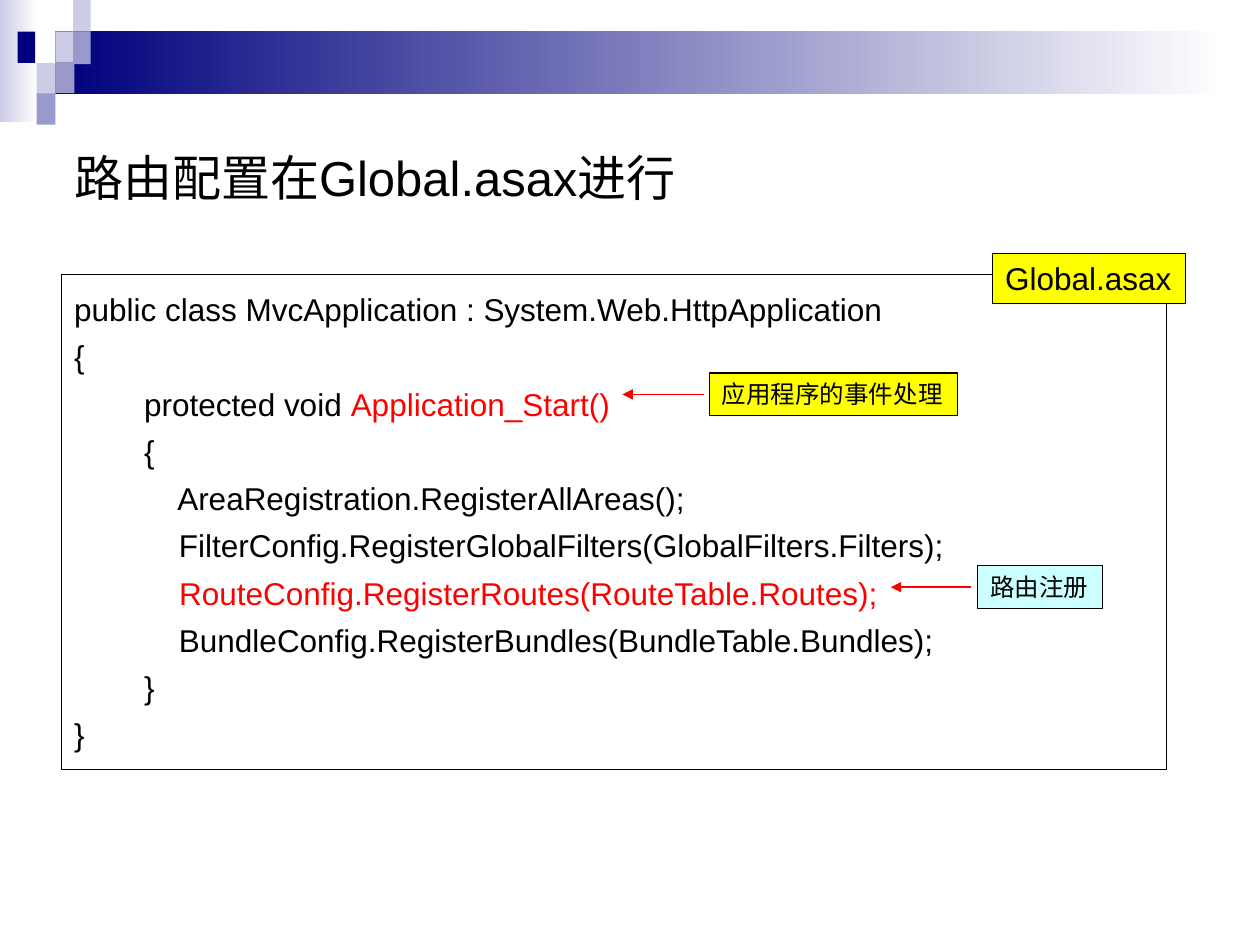
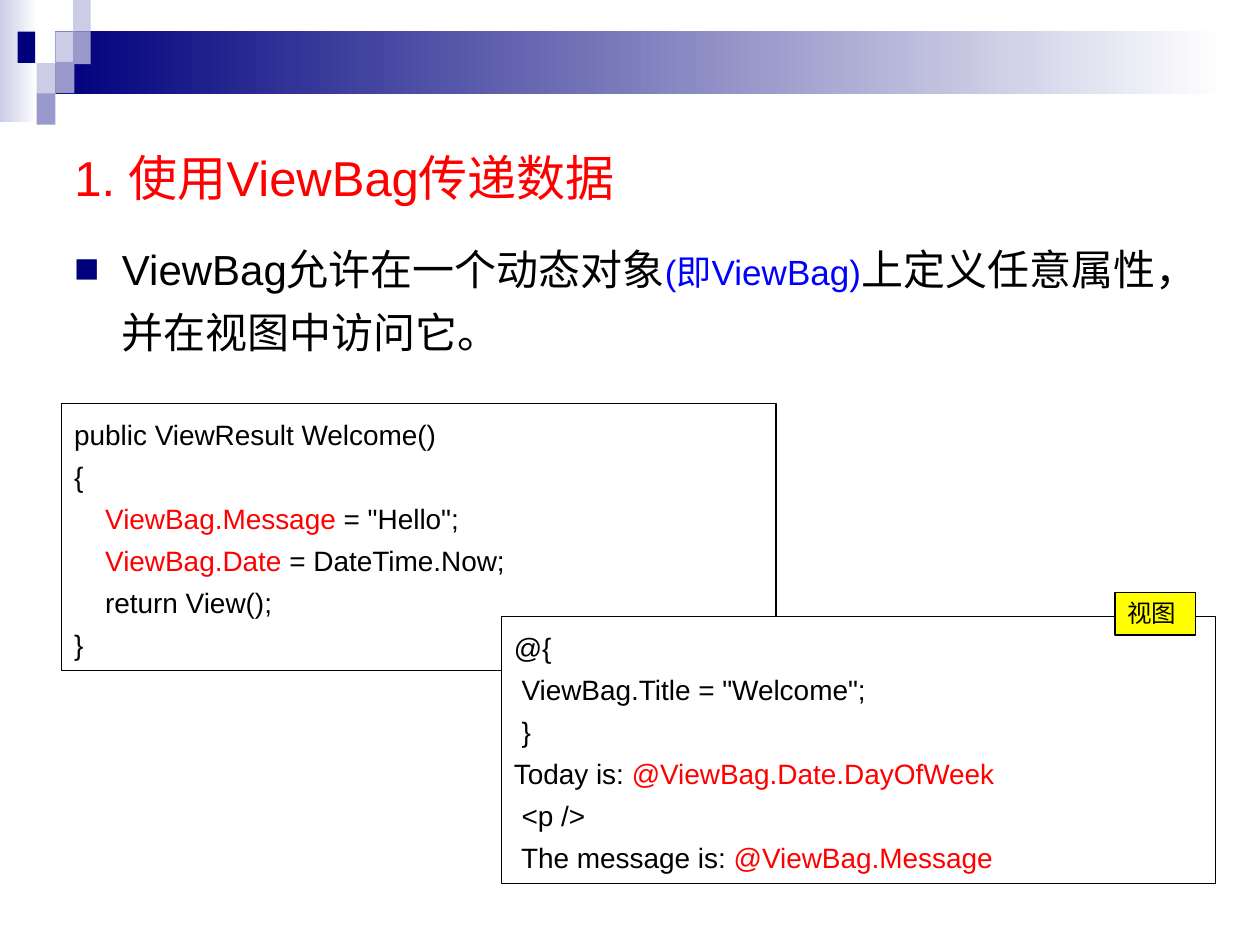
from lxml.etree import SubElement
from pptx import Presentation
from pptx.dml.color import RGBColor
from pptx.enum.shapes import MSO_CONNECTOR, MSO_SHAPE
from pptx.enum.text import MSO_ANCHOR, MSO_AUTO_SIZE, PP_ALIGN
from pptx.oxml.ns import qn
from pptx.util import Inches, Pt

NAVY = RGBColor(0x00, 0x00, 0x7D)
PALE = RGBColor(0xCC, 0xCC, 0xE6)
MID = RGBColor(0x99, 0x99, 0xCC)
WHITE = RGBColor(0xFF, 0xFF, 0xFF)
BLACK = RGBColor(0x00, 0x00, 0x00)
RED = RGBColor(0xFF, 0x00, 0x00)
BLUE = RGBColor(0x00, 0x00, 0xFF)
YELLOW = RGBColor(0xFF, 0xFF, 0x00)
CYAN = RGBColor(0xCC, 0xFF, 0xFF)
FONT = "Arial"
LEFT = 0.49


def write_runs(paragraph, runs):
    for text, size, color in runs:
        run = paragraph.add_run()
        run.text = text
        formats = {"name": FONT, "size": Pt(size), "bold": False}
        for key, value in formats.items():
            setattr(run.font, key, value)
        run.font.color.rgb = color


def add_panel(slide, box, lines, size, fill, wrap=True, spacing=1.0):
    panel = slide.shapes.add_textbox(*map(Inches, box))
    if fill is None:
        panel.fill.background()
    else:
        panel.fill.solid()
        panel.fill.fore_color.rgb = fill
    panel.line.color.rgb = BLACK
    panel.line.width = Pt(0.75)
    frame = panel.text_frame
    frame.word_wrap = wrap
    frame.auto_size = MSO_AUTO_SIZE.SHAPE_TO_FIT_TEXT
    for number, pieces in enumerate(lines):
        paragraph = frame.add_paragraph() if number else frame.paragraphs[0]
        paragraph.line_spacing = spacing
        write_runs(paragraph, [
            (text, size, RED if position % 2 else BLACK)
            for position, text in enumerate(pieces) if text
        ])


deck = Presentation()
deck.slide_width = Inches(10)
deck.slide_height = Inches(7.5)
title_only = deck.slide_layouts[5]

slides = []
for heading, color in [
    ("路由配置在Global.asax进行", BLACK),
    ("1. 使用ViewBag传递数据", RED),
]:
    slide = deck.slides.add_slide(title_only)
    title = slide.shapes.title
    placement = {"left": LEFT, "top": 1.05, "width": 9, "height": 0.71}
    for key, value in placement.items():
        setattr(title, key, Inches(value))
    title.text_frame.vertical_anchor = MSO_ANCHOR.MIDDLE
    title.text_frame.auto_size = MSO_AUTO_SIZE.NONE
    title_line = title.text_frame.paragraphs[0]
    title_line.alignment = PP_ALIGN.LEFT
    write_runs(title_line, [(heading, 28, color)])
    slides.append(slide)
routing, viewbag = slides

band_parts = [
    ((0, 0, 0.3, 0.97), (PALE, WHITE)),
    ((0.44, 0.25, 9.29, 0.5), (NAVY, WHITE)),
    ((0.44, 0.25, 0.15, 0.26), (PALE,)),
    ((0.58, 0, 0.14, 0.25), (PALE,)),
    ((0.58, 0.25, 0.14, 0.26), (MID,)),
    ((0.29, 0.5, 0.15, 0.25), (PALE,)),
    ((0.14, 0.25, 0.14, 0.25), (NAVY,)),
    ((0.44, 0.49, 0.15, 0.25), (MID,)),
    ((0.29, 0.74, 0.15, 0.25), (MID,)),
]
for box, colors in band_parts:
    part = routing.shapes.add_shape(MSO_SHAPE.RECTANGLE, *map(Inches, box))
    part.shadow.inherit = False
    part.line.fill.background()
    if len(colors) == 2:
        part.fill.gradient()
        part.fill.gradient_angle = 0
        for stop, color in zip(part.fill.gradient_stops, colors):
            stop.color.rgb = color
    else:
        part.fill.solid()
        part.fill.fore_color.rgb = colors[0]
    title_only.shapes.element.append(part.element)

global_code = [
    ["public class MvcApplication : System.Web.HttpApplication"],
    ["{"],
    ["        protected void ", "Application_Start()"],
    ["        {"],
    ["            AreaRegistration.RegisterAllAreas();"],
    ["            FilterConfig.RegisterGlobalFilters(GlobalFilters.Filters);"],
    ["            ", "RouteConfig.RegisterRoutes(RouteTable.Routes);"],
    ["            BundleConfig.RegisterBundles(BundleTable.Bundles);"],
    ["        }"],
    ["}"],
]
add_panel(routing, (LEFT, 2.18, 8.77, 3.93), global_code, 18, None, spacing=1.25)

for box, label, size, fill in [
    ((7.88, 2.01, 1.53, 0.4), "Global.asax", 18, YELLOW),
    ((5.63, 2.96, 1.97, 0.34), "应用程序的事件处理", 14, YELLOW),
    ((7.76, 4.49, 0.99, 0.34), "路由注册", 14, CYAN),
]:
    add_panel(routing, box, [[label]], size, fill, wrap=False)

for start, end, y in [(5.59, 4.94, 3.13), (7.71, 7.07, 4.66)]:
    pointer = routing.shapes.add_connector(
        MSO_CONNECTOR.STRAIGHT, Inches(start), Inches(y), Inches(end), Inches(y)
    )
    pointer.line.color.rgb = RED
    pointer.line.width = Pt(0.75)
    SubElement(pointer.line._get_or_add_ln(), qn("a:tailEnd"), type="triangle")
    SubElement(pointer.element.spPr, qn("a:effectLst"))

summary = viewbag.shapes.add_textbox(*map(Inches, (LEFT, 1.78, 9.16, 4.65)))
summary.text_frame.word_wrap = True
summary_line = summary.text_frame.paragraphs[0]
summary_line.line_spacing = 1.25
summary_line.space_after = Pt(6)
bullet = summary_line._p.get_or_add_pPr()
bullet.set("marL", str(Inches(0.38)))
bullet.set("indent", str(Inches(-0.38)))
bullet_color = SubElement(bullet, qn("a:buClr"))
SubElement(bullet_color, qn("a:srgbClr"), val=str(NAVY))
SubElement(bullet, qn("a:buFont"), typeface=FONT)
SubElement(bullet, qn("a:buChar"), char="■")
write_runs(summary_line, [
    ("ViewBag允许在一个动态对象", 24, BLACK),
    ("(即ViewBag)", 20, BLUE),
    ("上定义任意属性，并在视图中访问它。", 24, BLACK),
])

controller_code = [
    ["public ViewResult Welcome()"],
    ["{"],
    ["    ", "ViewBag.Message", ' = "Hello";'],
    ["    ", "ViewBag.Date", " = DateTime.Now;"],
    ["    return View();"],
    ["}"],
]
view_code = [
    ["@{"],
    [' ViewBag.Title = "Welcome";'],
    [" }"],
    ["Today is: ", "@ViewBag.Date.DayOfWeek"],
    [" <p />"],
    [" The message is: ", "@ViewBag.Message"],
]
for left, top, code, fill in [
    (LEFT, 3.2, controller_code, None),
    (3.98, 4.89, view_code, WHITE),
]:
    add_panel(viewbag, (left, top, 5.67, 2.12), code, 16, fill, spacing=1.25)
add_panel(viewbag, (8.85, 4.7, 0.64, 0.34), [["视图"]], 14, YELLOW)

deck.save("out.pptx")
